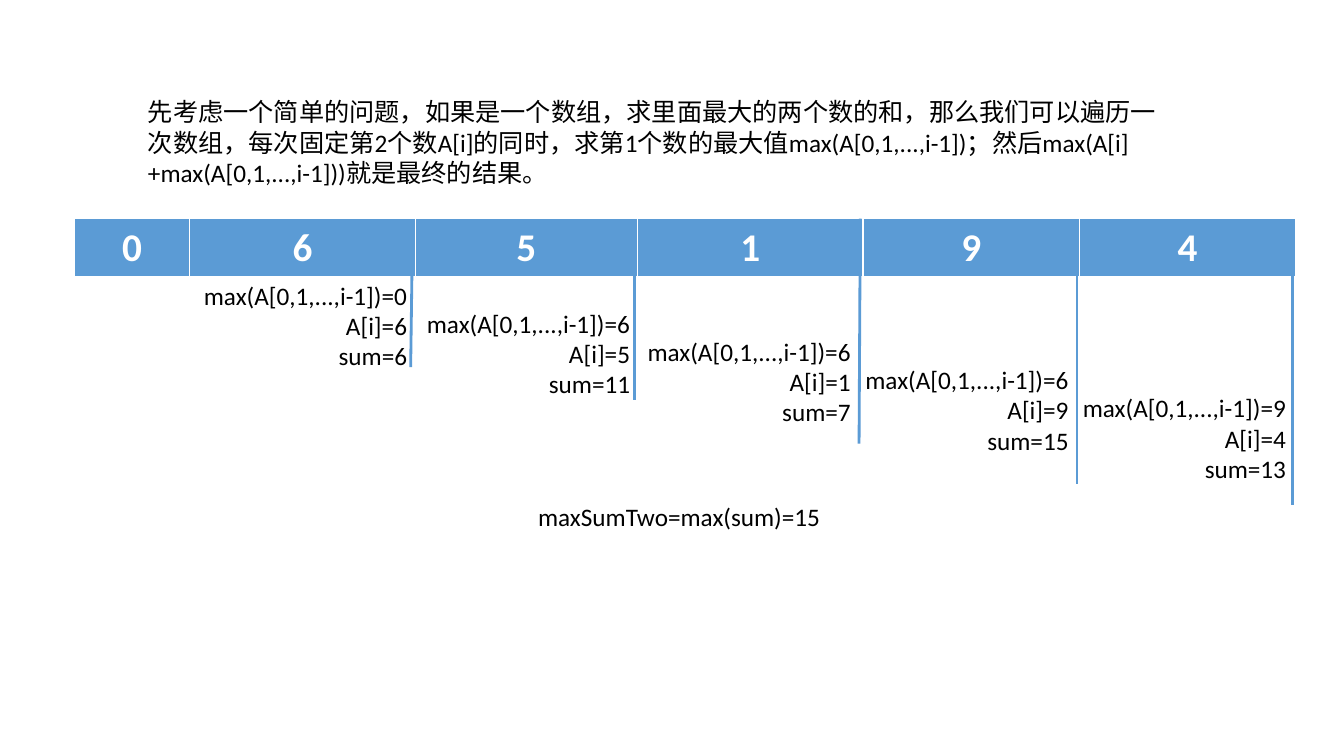
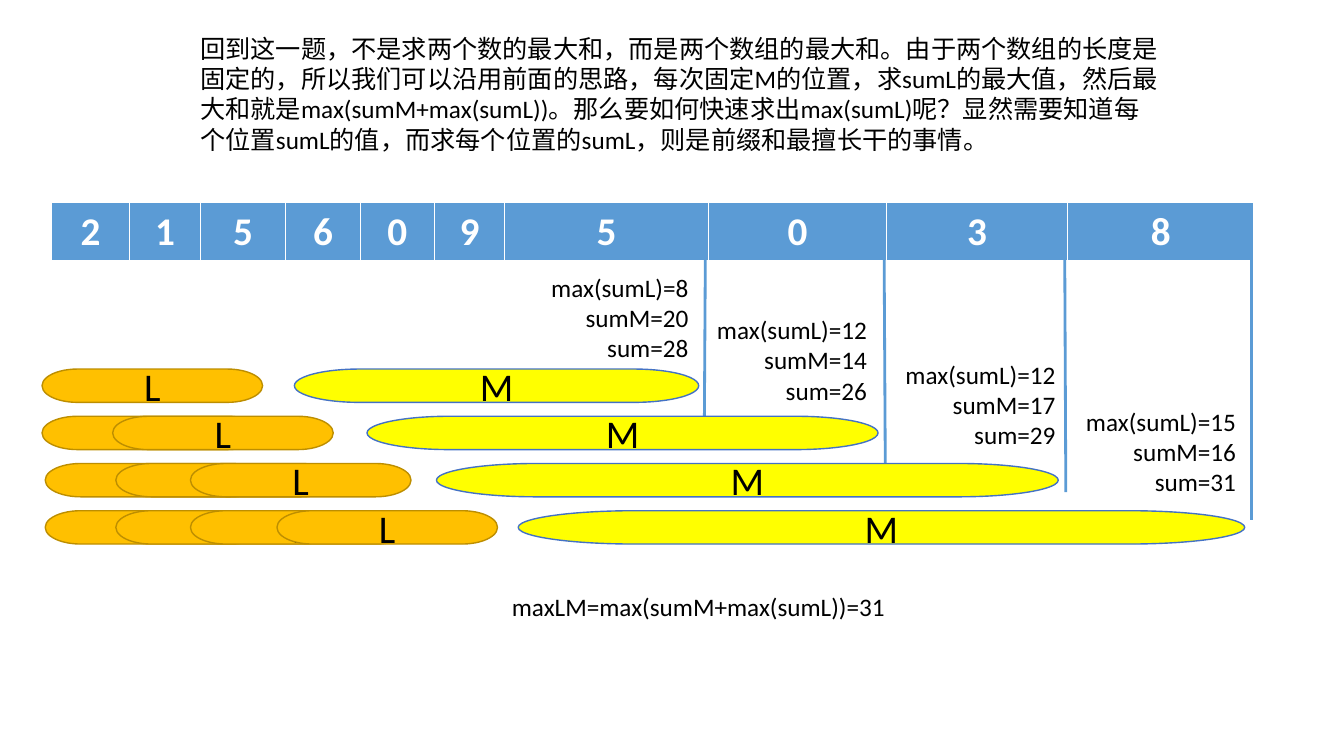
from dataclasses import dataclass
from itertools import accumulate

from lxml import etree
from pptx import Presentation
from pptx.dml.color import RGBColor as RGB
from pptx.enum.shapes import MSO_CONNECTOR as CONN, MSO_SHAPE as SHAPE
from pptx.enum.text import MSO_ANCHOR as ANCHOR, MSO_AUTO_SIZE as AUTO, PP_ALIGN as ALIGN
from pptx.oxml.ns import qn
from pptx.util import Cm, Pt


@dataclass(frozen=True)
class Theme:
    font: str = "Calibri"
    body: int = 18
    large: int = 28
    ink: RGB = RGB(0x00, 0x00, 0x00)
    paper: RGB = RGB(0xFF, 0xFF, 0xFF)
    blue: RGB = RGB(0x5B, 0x9B, 0xD5)
    left_fill: RGB = RGB(0xFF, 0xC0, 0x00)
    left_line: RGB = RGB(0xBD, 0x8E, 0x00)
    middle_fill: RGB = RGB(0xFF, 0xFF, 0x00)
    middle_line: RGB = RGB(0x44, 0x72, 0xC4)
    rule_width: int = 2
    outline_width: int = 1


class Deck:
    row_height = 1.45
    pill_height = 0.84
    rule_inset = 0.07

    def __init__(self, theme):
        self.theme = theme
        self.prs = Presentation()
        self.prs.slide_width, self.prs.slide_height = Cm(33.87), Cm(19.05)
        self.s = None

    def slide(self):
        self.s = self.prs.slides.add_slide(self.prs.slide_layouts[6])

    def style(self, p, size, color, align=ALIGN.LEFT, bold=False):
        p.alignment = align
        p.font.name = self.theme.font
        p.font.size = Pt(size)
        p.font.bold = bold
        p.font.color.rgb = color

    def text(self, lines, x, y, w, h, align=ALIGN.LEFT, wrap=True):
        tf = self.s.shapes.add_textbox(Cm(x), Cm(y), Cm(w), Cm(h)).text_frame
        tf.word_wrap = wrap
        tf.auto_size = AUTO.SHAPE_TO_FIT_TEXT
        tf.text = "\n".join(lines)
        for p in tf.paragraphs:
            self.style(p, self.theme.body, self.theme.ink, align)

    def note(self, lines, x, y, w):
        self.text(lines, x, y, w, 2.57, ALIGN.RIGHT)

    def array(self, values, widths, x, y, anchor):
        frame = self.s.shapes.add_table(1, len(values), Cm(x), Cm(y), Cm(sum(widths)), Cm(self.row_height))
        table = frame.table
        table.rows[0].height = Cm(self.row_height)
        for column, cell, value, width in zip(table.columns, table.rows[0].cells, values, widths):
            column.width = Cm(width)
            cell.fill.solid()
            cell.fill.fore_color.rgb = self.theme.blue
            cell.vertical_anchor = anchor
            cell.text = value
            self.style(cell.text_frame.paragraphs[0], self.theme.large, self.theme.paper, ALIGN.CENTER, True)
        return [x + edge - self.rule_inset for edge in accumulate(widths)]

    def rule(self, x, top, bottom, lean=0):
        line = self.s.shapes.add_connector(CONN.STRAIGHT, Cm(x), Cm(top), Cm(x + lean), Cm(bottom))
        line.line.color.rgb = self.theme.blue
        line.line.width = Pt(self.theme.rule_width)
        etree.SubElement(line._element.spPr, qn("a:effectLst"))

    def pill(self, label, x, y, w, fill, outline):
        sp = self.s.shapes.add_shape(SHAPE.FLOWCHART_TERMINATOR, Cm(x), Cm(y), Cm(w), Cm(self.pill_height))
        sp.shadow.inherit = False
        sp.fill.solid()
        sp.fill.fore_color.rgb = fill
        sp.line.color.rgb = outline
        sp.line.width = Pt(self.theme.outline_width)
        tf = sp.text_frame
        tf.vertical_anchor = ANCHOR.MIDDLE
        tf.text = label
        self.style(tf.paragraphs[0], self.theme.large, self.theme.ink, ALIGN.CENTER)


def two_numbers(deck):
    deck.slide()
    deck.text(["先考虑一个简单的问题，如果是一个数组，求里面最大的两个数的和，那么我们可以遍历一次数组，"
               "每次固定第2个数A[i]的同时，求第1个数的最大值max(A[0,1,...,i-1])；"
               "然后max(A[i]+max(A[0,1,...,i-1]))就是最终的结果。"], 3.48, 2.31, 26.47, 2.57)
    numbers = [0, 6, 5, 1, 9, 4]
    edges = deck.array([str(n) for n in numbers], [2.9, 5.69, 5.59, 5.69, 5.46, 5.44], 1.88, 5.51, ANCHOR.MIDDLE)
    rules = [(5.59, 9.25, -0.05), (5.54, 10.08), (5.51, 11.18, -0.03), (5.79, 12.19), (6.32, 12.73)]
    for x, rule in zip(edges[1:], rules):
        deck.rule(x, *rule)
    for i, x in enumerate([4.62, 10.24, 15.8, 21.29, 26.77], start=1):
        best, current = max(numbers[:i]), numbers[i]
        lines = [f"max(A[0,1,...,i-1])={best}", f"A[i]={current}", f"sum={best + current}"]
        deck.note(lines, x, 6.93 + 0.71 * (i - 1), 5.89)
    deck.text(["maxSumTwo=max(sum)=15"], 13.31, 12.5, 7.62, 1.02, wrap=False)


def two_subarrays(deck):
    theme = deck.theme
    deck.slide()
    deck.text(["回到这一题，不是求两个数的最大和，而是两个数组的最大和。由于两个数组的长度是固定的，"
               "所以我们可以沿用前面的思路，每次固定M的位置，求sumL的最大值，然后最大和就是max(sumM+max(sumL))。"
               "那么要如何快速求出max(sumL)呢？显然需要知道每个位置sumL的值，而求每个位置的sumL，"
               "则是前缀和最擅长干的事情。"], 4.8, 0.71, 24.71, 3.33)
    widths = [1.96, 1.8, 2.13, 1.9, 1.85, 1.78, 5.13, 4.5, 4.55, 4.7]
    edges = deck.array("2156095038", widths, 1.3, 5.11, ANCHOR.TOP)
    rules = [(5.84, 10.87, -0.03), (6.07, 11.68, 0.03), (5.94, 12.4, 0.03), (6.25, 13.11)]
    for x, rule in zip(edges[6:], rules):
        deck.rule(x, *rule)
    notes = [(8, 20, 13.59, 6.73, 4.01), (12, 14, 17.78, 7.8, 4.32),
             (12, 17, 22.3, 8.92, 4.55), (15, 16, 26.95, 10.11, 4.45)]
    for left, middle, x, y, w in notes:
        deck.note([f"max(sumL)={left}", f"sumM={middle}", f"sum={left + middle}"], x, y, w)
    starts = [1.14, 2.92, 4.8, 6.98]
    shifts = [-0.08, -0.08, 0, 0]
    middles = [(7.42, 10.19), (9.25, 12.88), (11, 15.67), (13.06, 18.31)]
    for row, (shift, (x, w)) in enumerate(zip(shifts, middles)):
        y = 9.3 + 1.19 * row
        deck.pill("M", x, y, w, theme.middle_fill, theme.middle_line)
        for start in starts[:row + 1]:
            deck.pill("L", start + shift, y, 5.56, theme.left_fill, theme.left_line)
    deck.text(["maxLM=max(sumM+max(sumL))=31"], 12.65, 14.78, 9.91, 1.02, wrap=False)


def main():
    deck = Deck(Theme())
    two_numbers(deck)
    two_subarrays(deck)
    deck.prs.save("out.pptx")


if __name__ == "__main__":
    main()
